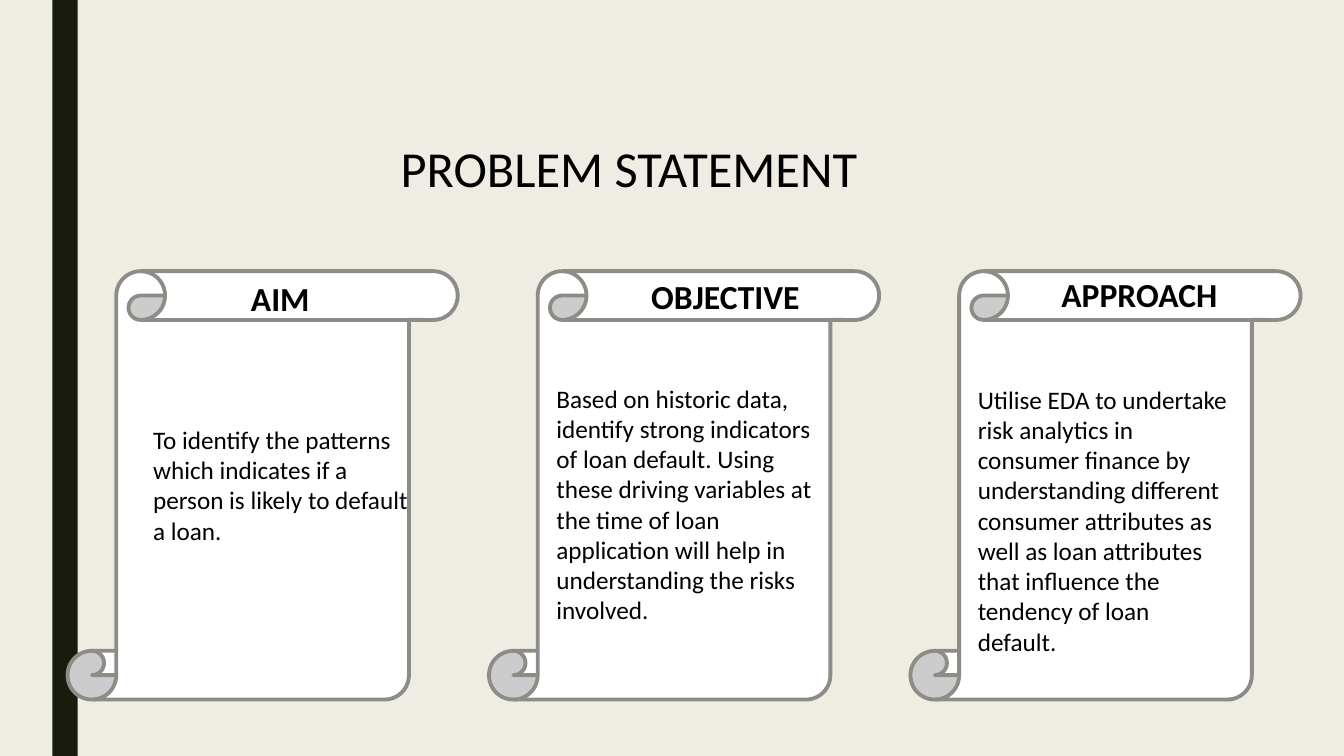
from dataclasses import dataclass

from pptx import Presentation
from pptx.dml.color import RGBColor
from pptx.enum.shapes import MSO_SHAPE
from pptx.enum.text import PP_ALIGN
from pptx.util import Inches, Pt

RECTANGLE, SCROLL = MSO_SHAPE.RECTANGLE, MSO_SHAPE.VERTICAL_SCROLL
LEFT, CENTER = PP_ALIGN.LEFT, PP_ALIGN.CENTER


@dataclass(frozen=True)
class Theme:
    background: str = "EFEDE3"
    band: str = "191B0E"
    paper: str = "FFFFFF"
    outline: str = "8C8D86"
    ink: str = "000000"
    font: str = "Calibri"
    title: int = 36
    heading: int = 24
    body: int = 18
    outline_width: float = 2.75


THEME = Theme()
SLIDE_W, SLIDE_H = 13.33, 7.5

# Three scrolls on an even column grid
SCROLL_LEFT, SCROLL_TOP, SCROLL_PITCH = 0.67, 2.69, 4.18
SCROLL_W, SCROLL_H = 3.87, 4.25
HEADING_H, BODY_W = 0.5, 2.73

# Heading, (heading x, y, width), body, (body x, y, height); offsets from the scroll
SCROLLS = [
    ("AIM", (1.25, 0.02, 1.72),
     "To identify the patterns which indicates if a person is likely to default a loan.",
     (0.75, 1.47, 1.31)),
    ("OBJECTIVE", (1.02, 0, 2.65),
     "Based on historic data, identify strong indicators of loan default. Using these "
     "driving variables at the time of loan application will help in understanding the "
     "risks involved.",
     (0.57, 1.06, 2.83)),
    ("APPROACH", (1.15, -0.02, 2.24),
     "Utilise EDA to undertake risk analytics in consumer finance by understanding "
     "different consumer attributes as well as loan attributes that influence the "
     "tendency of loan default.",
     (0.57, 1.07, 2.83)),
]


def rgb(value):
    return RGBColor.from_string(value)


def add_panel(slide, preset, box, fill, outline=None):
    panel = slide.shapes.add_shape(preset, *map(Inches, box))
    panel.shadow.inherit = False
    panel.fill.solid()
    panel.fill.fore_color.rgb = rgb(fill)
    if outline:
        panel.line.color.rgb = rgb(outline)
        panel.line.width = Pt(THEME.outline_width)
    else:
        panel.line.fill.background()


def add_text(slide, wording, box, size, align=LEFT, bold=False):
    frame = slide.shapes.add_textbox(*map(Inches, box)).text_frame
    frame.word_wrap = True
    frame.text = wording
    paragraph = frame.paragraphs[0]
    paragraph.alignment = align
    font = paragraph.runs[0].font
    font.name, font.size, font.bold = THEME.font, Pt(size), bold
    font.color.rgb = rgb(THEME.ink)


def add_backdrop(slide):
    slide.background.fill.solid()
    slide.background.fill.fore_color.rgb = rgb(THEME.background)
    add_panel(slide, RECTANGLE, (0.52, 0, 0.25, SLIDE_H), THEME.band)


def add_scroll(slide, box, heading, heading_place, body, body_place):
    left, top = box[:2]
    add_panel(slide, SCROLL, box, THEME.paper, THEME.outline)
    x, y, width = heading_place
    add_text(slide, heading, (left + x, top + y, width, HEADING_H),
             THEME.heading, CENTER, bold=True)
    x, y, height = body_place
    add_text(slide, body, (left + x, top + y, BODY_W, height), THEME.body)


def build_problem_statement(presentation):
    slide = presentation.slides.add_slide(presentation.slide_layouts[6])
    add_backdrop(slide)
    add_text(slide, "PROBLEM STATEMENT", (3.41, 1.31, 5.66, 0.71), THEME.title, CENTER)
    for column, content in enumerate(SCROLLS):
        left = SCROLL_LEFT + column * SCROLL_PITCH
        add_scroll(slide, (left, SCROLL_TOP, SCROLL_W, SCROLL_H), *content)


def main():
    presentation = Presentation()
    presentation.slide_width = Inches(SLIDE_W)
    presentation.slide_height = Inches(SLIDE_H)
    build_problem_statement(presentation)
    presentation.save("out.pptx")


if __name__ == "__main__":
    main()
